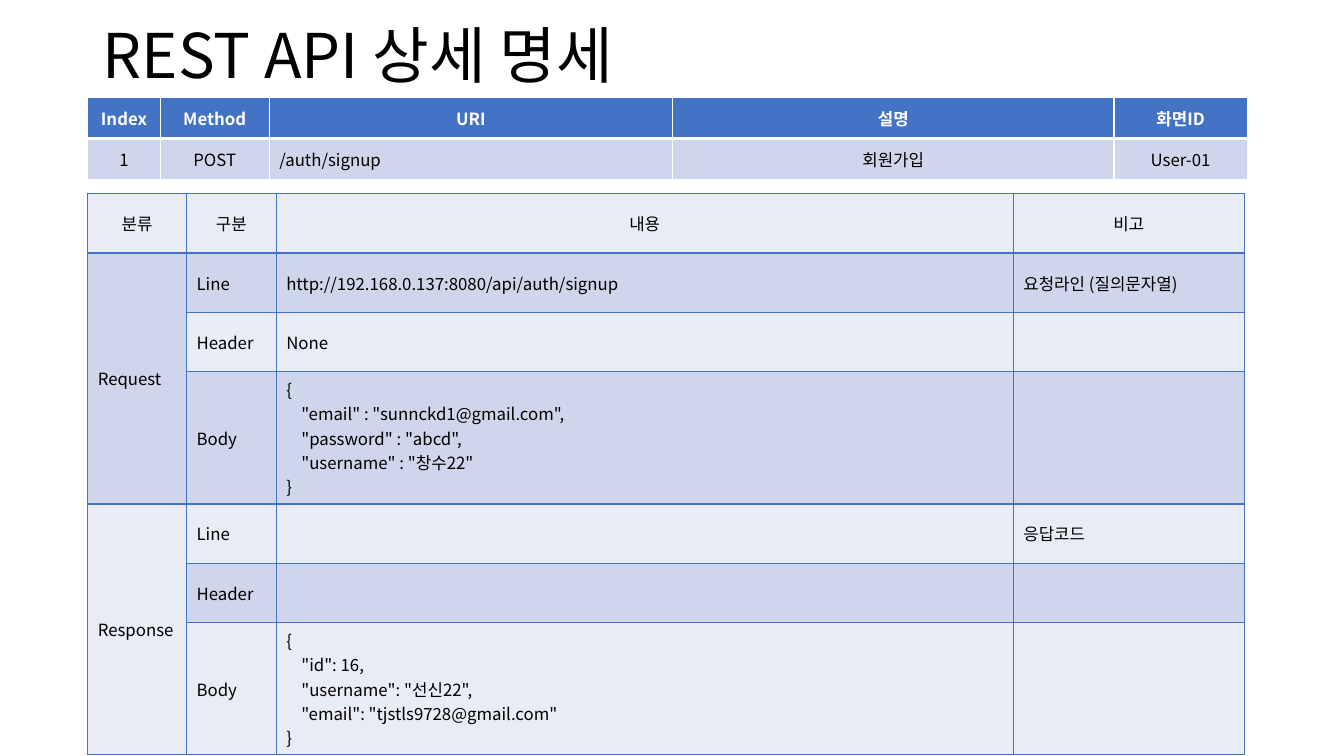
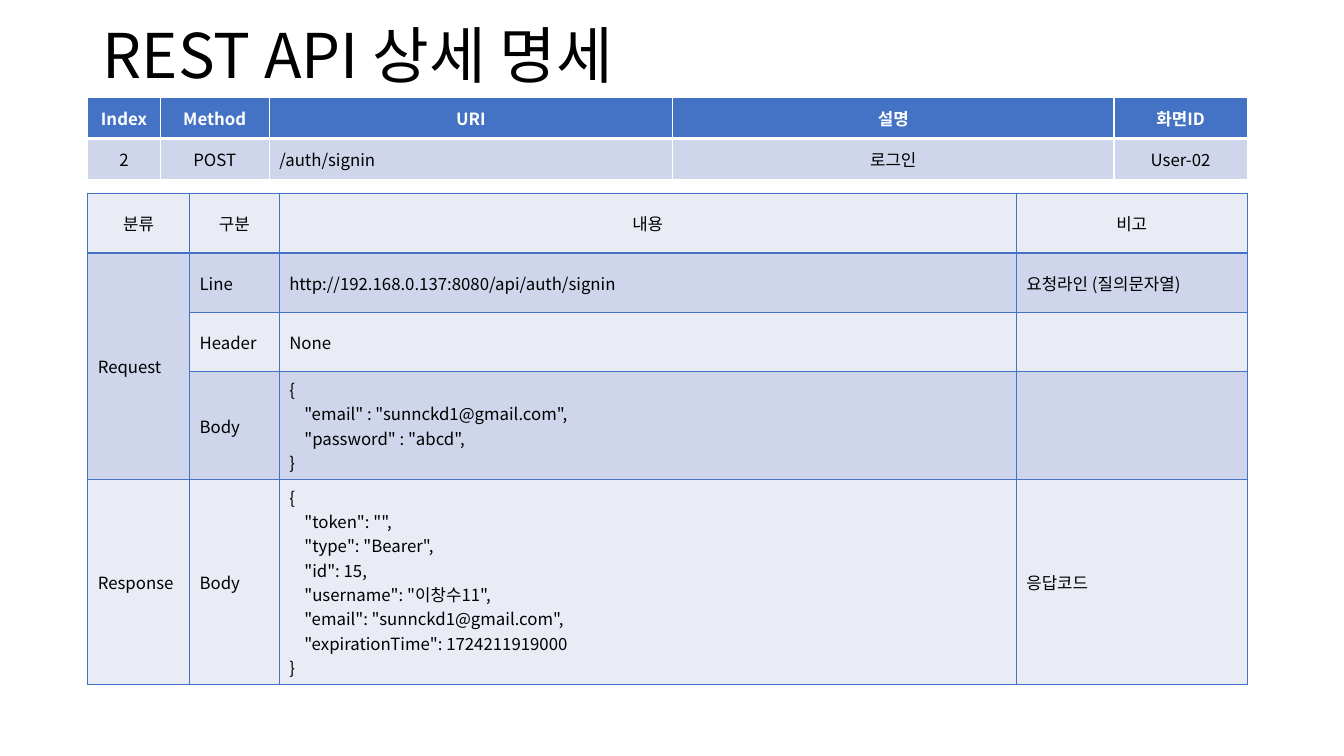
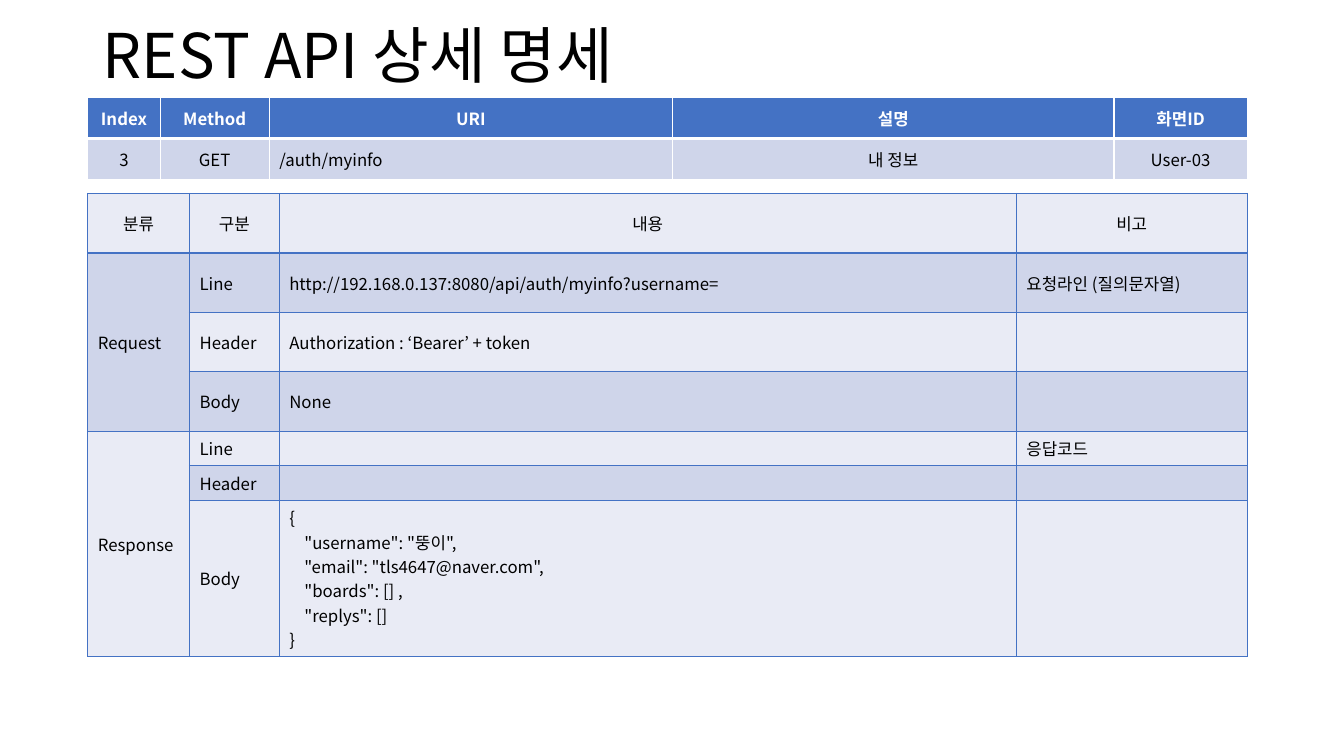
from lxml import etree
from pptx import Presentation
from pptx import util as u
from pptx.dml.color import RGBColor
from pptx.enum import text
from pptx.oxml.ns import qn

PX = 9144  # 100 px to the inch
FACE = "Noto Sans CJK KR"
BLUE, BAND, PALE = "4472C4", "CFD5EA", "E9EBF5"
WHITE, BLACK = "FFFFFF", "000000"
LEFT, MID = text.PP_ALIGN.LEFT, text.PP_ALIGN.CENTER
TITLE = "REST API 상세 명세"
TITLE_BOX = (92, -14, 1150, 145)
HEADS = ["Index", "Method", "URI", "설명", "화면ID"]
HEAD_COLS = [72, 108, 400, 438, 132]
PARTS = ["분류", "구분", "내용", "비고"]
QUERY, CODE = "요청라인 (질의문자열)", "응답코드"
PAD, LINE, ROW = 10, 24.2, 59


def px(n):
    return u.Emu(round(n * PX))


def rgb(tone):
    return RGBColor.from_string(tone)


def write(par, line, size, tone, bold=False, align=LEFT):
    par.alignment = align
    if not line:
        etree.SubElement(par._p, qn("a:endParaRPr"), sz=str(size * 100))
        return
    run = par.add_run()
    run.text = line
    run.font.color.rgb = rgb(tone)
    for key, val in {"name": FACE, "size": u.Pt(size), "bold": bold}.items():
        setattr(run.font, key, val)
    etree.SubElement(run._r.get_or_add_rPr(), qn("a:ea"), typeface=FACE)


def edge(cell, tone, **wide):
    """Draw the four borders, 1 pt unless a side is given its own width."""
    props = cell._tc.get_or_add_tcPr()
    for side in "LRTB":
        line = etree.SubElement(props, qn("a:ln" + side), w=str(u.Pt(wide.get(side, 1))))
        fill = etree.SubElement(line, qn("a:solidFill"))
        etree.SubElement(fill, qn("a:srgbClr"), val=tone)


def paint(cell, words, fill, rim, tone=BLACK, bold=False, align=LEFT, **wide):
    edge(cell, rim, **wide)
    cell.fill.solid()
    cell.fill.fore_color.rgb = rgb(fill)
    cell.vertical_anchor = text.MSO_ANCHOR.MIDDLE
    frame = cell.text_frame
    for i, line in enumerate(words.split("\n")):
        par = frame.add_paragraph() if i else frame.paragraphs[0]
        write(par, line, 12, tone, bold, align)


def grid(slide, left, top, cols, rows):
    box = map(px, (left, top, sum(cols), sum(rows)))
    table = slide.shapes.add_table(len(rows), len(cols), *box).table
    table.first_row = table.horz_banding = False
    for col, wide in zip(table.columns, cols):
        col.width = px(wide)
    for row, high in zip(table.rows, rows):
        row.height = px(high)
    return table


# Title
def title(slide, box):
    frame = slide.shapes.add_textbox(*map(px, box)).text_frame
    look = {"word_wrap": True, "vertical_anchor": text.MSO_ANCHOR.MIDDLE}
    for key, val in look.items():
        setattr(frame, key, val)
    par = frame.paragraphs[0]
    par.line_spacing = 0.9
    write(par, TITLE, 44, BLACK)


# Summary table: one call per slide
def brief(slide, left, top, call):
    table = grid(slide, left, top, HEAD_COLS, [40.5, 40.5])
    for i, (head, word) in enumerate(zip(HEADS, call)):
        paint(table.cell(0, i), head, BLUE, WHITE, WHITE, True, MID, B=3)
        paint(table.cell(1, i), word, BAND, WHITE,
              align=LEFT if head == "URI" else MID, T=3)


# Detail table: request and response, each with its rows
def detail(slide, left, top, first, groups, least):
    rows, spans = [PARTS], []
    for name, items in groups.items():
        spans.append((len(rows), len(rows) + len(items) - 1))
        rows += [(name if i == 0 else "", *item) for i, item in enumerate(items)]
    highs = []
    for i, row in enumerate(rows):
        floor = ROW if i < spans[1][0] else least
        lines = row[2].count("\n") + 1
        highs.append(max(floor, PAD + LINE * lines))
    table = grid(slide, left, top, [first, 89, 731, 229], highs)
    for i, row in enumerate(rows):
        for j, words in enumerate(row):
            paint(table.cell(i, j), words, BAND if i % 2 else PALE, BLUE,
                  align=LEFT if i else MID)
    for start, end in spans:
        if end > start:
            table.cell(start, 0).merge(table.cell(end, 0))


def body(*lines):
    return "\n".join(["{", *("    " + line for line in lines), "}"])


def ask(page, head, data):
    link = "http://192.168.0.137:8080/api/auth/" + page
    return [("Line", link, QUERY), ("Header", head, ""), ("Body", data, "")]


def reply(data):
    return [("Line", "", CODE), ("Header", "", ""), ("Body", data, "")]


MAIL = '"email" : "sunnckd1@gmail.com",'
PASS = '"password" : "abcd",'
PAGES = [
    {"call": ["1", "POST", "/auth/signup", "회원가입", "User-01"],
     "first": 98, "least": ROW,
     "groups": {
         "Request": ask("signup", "None", body(MAIL, PASS, '"username" : "창수22"')),
         "Response": reply(body('"id": 16,', '"username": "선신22",',
                                '"email": "tjstls9728@gmail.com"'))}},
    {"call": ["2", "POST", "/auth/signin", "로그인", "User-02"],
     "first": 101, "least": ROW,
     "groups": {
         "Request": ask("signin", "None", body(MAIL, PASS)),
         "Response": [("Body", body(
             '"token": "",', '"type": "Bearer",', '"id": 15,',
             '"username": "이창수11",', '"email": "sunnckd1@gmail.com",',
             '"expirationTime": 1724211919000'), CODE)]}},
    {"call": ["3", "GET", "/auth/myinfo", "내 정보", "User-03"],
     "first": 101, "least": 34,
     "groups": {
         "Request": ask("myinfo?username=", "Authorization : ‘Bearer’ + token", "None"),
         "Response": reply(body('"username": "뚱이",', '"email": "tls4647@naver.com",',
                                '"boards": [] ,', '"replys": []'))}},
]


def main():
    deck = Presentation()
    deck.slide_width, deck.slide_height = px(1333), px(750)
    for page in PAGES:
        slide = deck.slides.add_slide(deck.slide_layouts[6])
        title(slide, TITLE_BOX)
        brief(slide, 87, 97, page["call"])
        detail(slide, 87, 192, page["first"], page["groups"], page["least"])
    deck.save("out.pptx")


if __name__ == "__main__":
    main()
